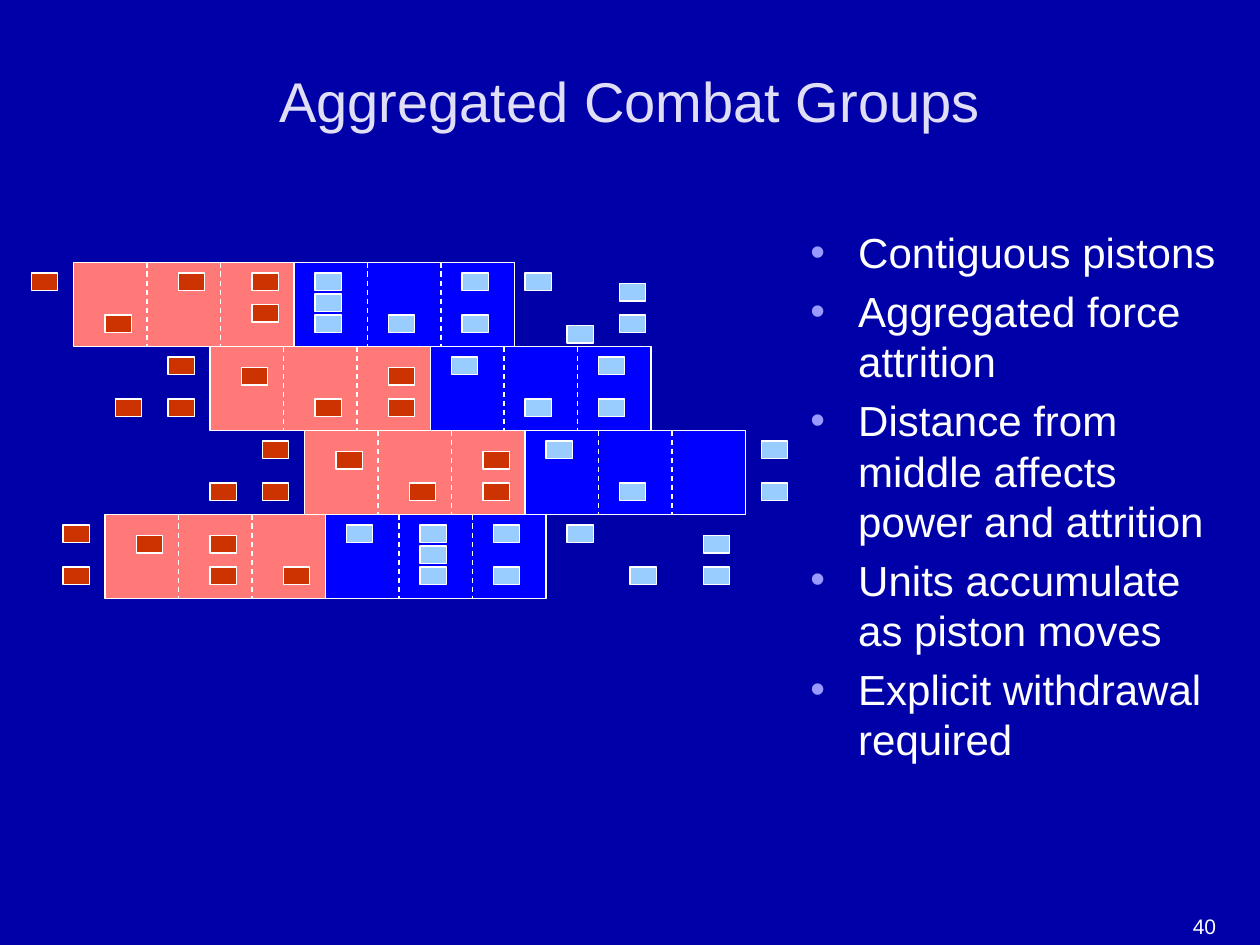
from lxml import etree
from pptx import Presentation
from pptx.dml.color import RGBColor
from pptx.enum.dml import MSO_LINE
from pptx.enum.shapes import MSO_CONNECTOR, MSO_SHAPE
from pptx.enum.text import MSO_ANCHOR, PP_ALIGN
from pptx.oxml.ns import qn
from pptx.util import Inches, Pt

CELL = Inches(1) / 12
PISTON_WIDTH, PISTON_HEIGHT, ZONE_WIDTH = 21, 8, 7
UNIT_WIDTH, UNIT_HEIGHT = 2.5, 1.67
WHITE, RED_UNIT, BLUE_UNIT = "FFFFFF", "CC3300", "99CCFF"
RED_PISTON, BLUE_PISTON = "FF7979", "0000FF"

MIDDLE_RED = [(10, 5), (17, 2), (17, 5), (3, 2), (-4, 1), (-4, 5), (-9, 5)]
ROWS = [
    (7, [(10, 1), (17, 1), (17, 4), (3, 5), (-4, 1)],
     [(30, 5), (23, 1), (23, 5), (23, 3), (37, 1), (37, 5), (43, 1),
      (47, 6), (52, 2), (52, 5)]),
    (20, MIDDLE_RED, [(30, 5), (23, 1), (37, 1), (37, 5)]),
    (29, MIDDLE_RED, [(30, 5), (23, 1), (43.5, 1), (43.5, 5)]),
    (10, [(10, 5), (10, 2), (17, 5), (3, 2), (-4, 1), (-4, 5)],
     [(30, 5), (30, 1), (30, 3), (23, 1), (37, 1), (37, 5), (44, 1),
      (50, 5), (57, 2), (57, 5)]),
]
BULLETS = [
    "Contiguous pistons",
    "Aggregated force attrition",
    "Distance from middle affects power and attrition",
    "Units accumulate as piston moves",
    "Explicit withdrawal required",
]


def color(value):
    return RGBColor.from_string(value)


def grid(*cells):
    return [round(cell * CELL) for cell in cells]


def style_font(paragraph, size, value):
    for run in paragraph.runs:
        run.font.name = "Arial"
        run.font.size = Pt(size)
        run.font.color.rgb = color(value)


def add_block(slide, box, fill):
    shape = slide.shapes.add_shape(MSO_SHAPE.RECTANGLE, *grid(*box))
    shape.shadow.inherit = False
    shape.fill.solid()
    shape.fill.fore_color.rgb = color(fill)
    shape.line.color.rgb = color(WHITE)
    shape.line.width = Pt(0.75)


def add_divider(slide, x, top, bottom):
    line = slide.shapes.add_connector(MSO_CONNECTOR.STRAIGHT, *grid(x, top, x, bottom))
    line.line.color.rgb = color(WHITE)
    line.line.width = Pt(0.75)
    line.line.dash_style = MSO_LINE.DASH
    etree.SubElement(line._element.spPr, qn("a:effectLst"))


def add_piston_row(slide, left, top, red_units, blue_units):
    for start, fill in ((0, RED_PISTON), (PISTON_WIDTH, BLUE_PISTON)):
        add_block(slide, (left + start, top, PISTON_WIDTH, PISTON_HEIGHT), fill)
        for zone in (1, 2):
            add_divider(slide, left + start + zone * ZONE_WIDTH, top, top + PISTON_HEIGHT)
    for units, fill in ((red_units, RED_UNIT), (blue_units, BLUE_UNIT)):
        for x, y in units:
            add_block(slide, (left + x, top + y, UNIT_WIDTH, UNIT_HEIGHT), fill)


def add_pistons(slide, top):
    for index, (left, red_units, blue_units) in enumerate(ROWS):
        add_piston_row(slide, left, top + index * PISTON_HEIGHT, red_units, blue_units)


def set_title(slide, box):
    title = slide.shapes.title
    title.left, title.top, title.width, title.height = grid(*box)
    title.text_frame.text = "Aggregated Combat Groups"
    title.text_frame.vertical_anchor = MSO_ANCHOR.MIDDLE
    paragraph = title.text_frame.paragraphs[0]
    paragraph.alignment = PP_ALIGN.CENTER
    style_font(paragraph, 32, "DFDEF6")


def add_bullet(paragraph):
    properties = paragraph._p.get_or_add_pPr()
    properties.set("marL", str(Inches(0.38)))
    properties.set("indent", str(-Inches(0.38)))
    bullet_color = etree.SubElement(properties, qn("a:buClr"))
    etree.SubElement(bullet_color, qn("a:srgbClr"), val="9999FF")
    etree.SubElement(properties, qn("a:buFont"), typeface="Arial")
    etree.SubElement(properties, qn("a:buChar"), char="•")


def add_bullets(slide, box):
    text_frame = slide.shapes.add_textbox(*grid(*box)).text_frame
    text_frame.word_wrap = True
    text_frame.text = "\n".join(BULLETS)
    for index, paragraph in enumerate(text_frame.paragraphs):
        add_bullet(paragraph)
        if index:
            paragraph.space_before = Pt(4.8)
        style_font(paragraph, 24, WHITE)


def add_page_number(slide, box):
    text_frame = slide.shapes.add_textbox(*grid(*box)).text_frame
    text_frame.word_wrap = True
    text_frame.vertical_anchor = MSO_ANCHOR.BOTTOM
    text_frame.text = "40"
    paragraph = text_frame.paragraphs[0]
    paragraph.alignment = PP_ALIGN.RIGHT
    style_font(paragraph, 12, WHITE)


def main():
    presentation = Presentation()
    presentation.slide_width, presentation.slide_height = grid(120, 90)
    slide = presentation.slides.add_slide(presentation.slide_layouts[5])
    slide.background.fill.solid()
    slide.background.fill.fore_color.rgb = color("0000A8")
    set_title(slide, (6, 2, 108, 15))
    add_bullets(slide, (76, 21, 41, 59.4))
    add_pistons(slide, 25)
    add_page_number(slide, (89, 84, 28, 6))
    presentation.save("out.pptx")


if __name__ == "__main__":
    main()
